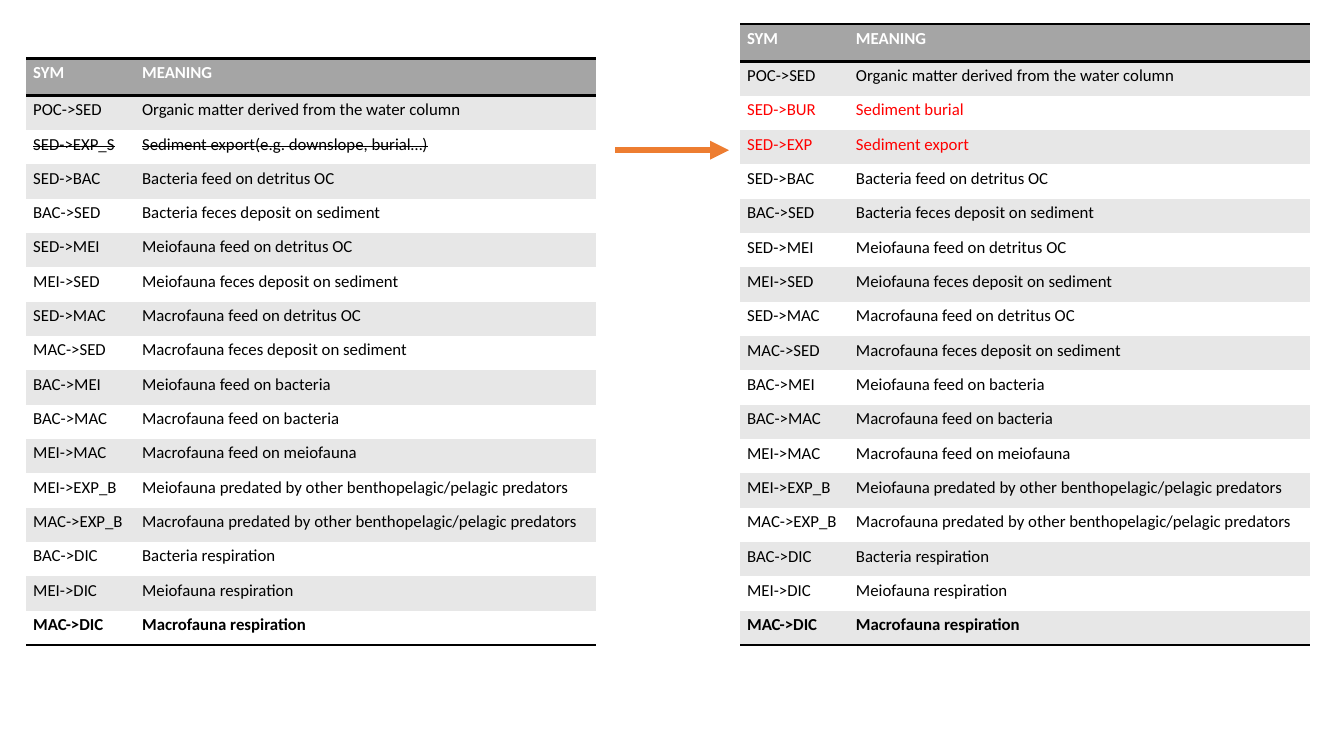
from lxml import etree
from pptx import Presentation
from pptx.dml.color import RGBColor
from pptx.enum.shapes import MSO_CONNECTOR
from pptx.oxml.ns import qn
from pptx.util import Inches, Pt

STRAIGHT = MSO_CONNECTOR.STRAIGHT
BLACK = RGBColor(0x00, 0x00, 0x00)
WHITE = RGBColor(0xFF, 0xFF, 0xFF)
RED = RGBColor(0xFF, 0x00, 0x00)
ORANGE = RGBColor(0xED, 0x7D, 0x31)
HEADER_GRAY = RGBColor(0xA5, 0xA5, 0xA5)
BAND_GRAY = RGBColor(0xE7, 0xE7, 0xE7)

FONT = "Calibri"
PLAIN_TABLE_STYLE = "{2D5ABB26-0587-4C30-8999-92F81FD0307C}"
HEADER_HEIGHT = 0.37
COLUMN_WIDTHS = (1.08, 4.57)
TABLE_WIDTH = sum(COLUMN_WIDTHS)
TABLE_BOTTOM = 6.4

HEADER = ("SYM", "MEANING")
WATER_COLUMN = ("POC->SED", "Organic matter derived from the water column")
OLD_EXPORT = [("SED->EXP_S", "Sediment export(e.g. downslope, burial…)")]
NEW_EXPORTS = [("SED->BUR", "Sediment burial"), ("SED->EXP", "Sediment export")]
SHARED_FLOWS = [
    ("SED->BAC", "Bacteria feed on detritus OC"),
    ("BAC->SED", "Bacteria feces deposit on sediment"),
    ("SED->MEI", "Meiofauna feed on detritus OC"),
    ("MEI->SED", "Meiofauna feces deposit on sediment"),
    ("SED->MAC", "Macrofauna feed on detritus OC"),
    ("MAC->SED", "Macrofauna feces deposit on sediment"),
    ("BAC->MEI", "Meiofauna feed on bacteria"),
    ("BAC->MAC", "Macrofauna feed on bacteria"),
    ("MEI->MAC", "Macrofauna feed on meiofauna"),
    ("MEI->EXP_B", "Meiofauna predated by other benthopelagic/pelagic predators"),
    ("MAC->EXP_B", "Macrofauna predated by other benthopelagic/pelagic predators"),
    ("BAC->DIC", "Bacteria respiration"),
    ("MEI->DIC", "Meiofauna respiration"),
    ("MAC->DIC", "Macrofauna respiration"),
]


def add_border(cell, side):
    """Draw a black rule on one side of a cell; call before filling the cell."""
    border = etree.SubElement(cell._tc.get_or_add_tcPr(), qn(f"a:{side}"), w=str(Pt(2)))
    fill = etree.SubElement(border, qn("a:solidFill"))
    etree.SubElement(fill, qn("a:srgbClr"), val=str(BLACK))


def fill_cell(cell, text, background, color, bold, struck, border_sides):
    for side in border_sides:
        add_border(cell, side)
    cell.fill.solid()
    cell.fill.fore_color.rgb = background
    cell.margin_left = cell.margin_right = Inches(0.07)
    cell.margin_top = cell.margin_bottom = Inches(0.04)
    cell.text_frame.text = text
    font = cell.text_frame.paragraphs[0].runs[0].font
    font.name, font.size, font.bold = FONT, Pt(12), bold
    font.color.rgb = color
    if struck:
        font._element.set("strike", "sngStrike")


def add_flow_table(page, left, top, export_flows, export_color, struck):
    """Place a banded table whose export rows are marked by colour or strike."""
    rows = [HEADER, WATER_COLUMN, *export_flows, *SHARED_FLOWS]
    last = len(rows) - 1
    height = TABLE_BOTTOM - top
    table = page.shapes.add_table(
        len(rows), len(HEADER), Inches(left), Inches(top),
        Inches(TABLE_WIDTH), Inches(height)).table
    table._tbl.tblPr.find(qn("a:tableStyleId")).text = PLAIN_TABLE_STYLE
    for column, width in zip(table.columns, COLUMN_WIDTHS):
        column.width = Inches(width)

    for index, texts in enumerate(rows):
        is_header = index == 0
        is_export = texts in export_flows
        row_height = HEADER_HEIGHT if is_header else (height - HEADER_HEIGHT) / last
        table.rows[index].height = Inches(row_height)
        background = BAND_GRAY if index % 2 else WHITE
        color = export_color if is_export else BLACK
        border_sides = ("lnB",) if index == last else ()
        if is_header:
            background, color, border_sides = HEADER_GRAY, WHITE, ("lnT", "lnB")
        for cell, text in zip(table.rows[index].cells, texts):
            fill_cell(cell, text, background, color, index in (0, last),
                      struck and is_export, border_sides)


def add_change_arrow(page, left, right, middle):
    arrow = page.shapes.add_connector(
        STRAIGHT, Inches(left), Inches(middle), Inches(right), Inches(middle))
    arrow.line.color.rgb = ORANGE
    arrow.line.width = Pt(4.5)
    etree.SubElement(arrow.line._get_or_add_ln(), qn("a:tailEnd"), type="triangle")
    etree.SubElement(arrow._element.spPr, qn("a:effectLst"))


def main():
    deck = Presentation()
    deck.slide_width, deck.slide_height = Inches(13.33), Inches(7.5)
    page = deck.slides.add_slide(deck.slide_layouts[6])
    add_flow_table(page, 0.26, 0.58, OLD_EXPORT, BLACK, struck=True)
    add_flow_table(page, 7.34, 0.24, NEW_EXPORTS, RED, struck=False)
    add_change_arrow(page, 6.1, 7.23, 1.49)
    deck.save("out.pptx")


if __name__ == "__main__":
    main()
